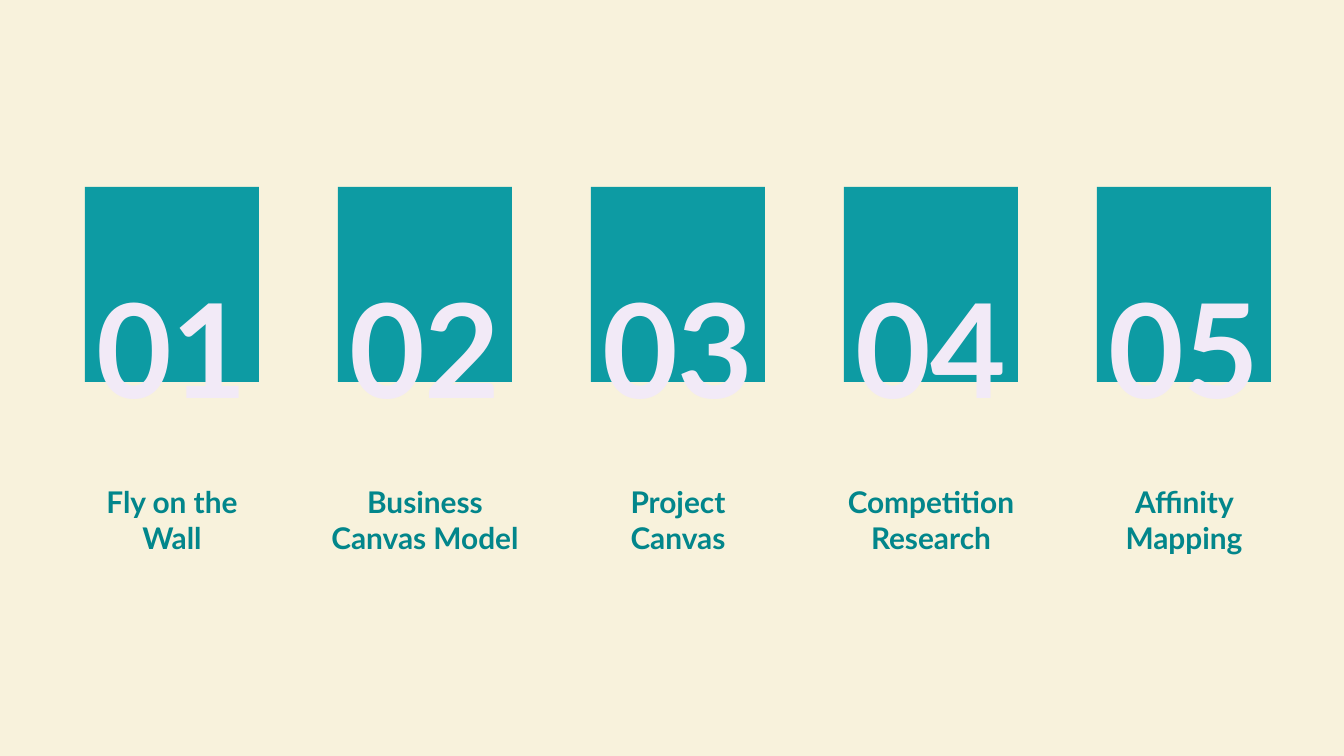
from pptx import Presentation
from pptx.dml.color import RGBColor
from pptx.enum.shapes import MSO_SHAPE
from pptx.enum.text import MSO_ANCHOR, MSO_AUTO_SIZE, PP_ALIGN
from pptx.util import Inches, Pt

SLIDE_WIDTH, SLIDE_HEIGHT = 1344, 756
SCALE = Inches(10) / SLIDE_WIDTH

CREAM = RGBColor(0xF8, 0xF2, 0xDC)
TEAL = RGBColor(0x0D, 0x9B, 0xA3)
DARK_TEAL = RGBColor(0x02, 0x86, 0x8B)
LILAC = RGBColor(0xF2, 0xEA, 0xF7)

RECTANGLE = MSO_SHAPE.RECTANGLE
BOTTOM = MSO_ANCHOR.BOTTOM
NO_AUTOFIT = MSO_AUTO_SIZE.NONE
CENTER = PP_ALIGN.CENTER
TITLE_ONLY = 5

FIRST_CENTER, PITCH = 172, 253
INSET = Inches(0.1)
FRAME_FORMAT = {
    "word_wrap": True,
    "auto_size": NO_AUTOFIT,
    "vertical_anchor": BOTTOM,
    "margin_left": INSET,
    "margin_right": INSET,
    "margin_top": INSET,
    "margin_bottom": INSET,
}

# Label and the width of its box
METHODS = [
    ("Fly on the Wall", 196),
    ("Business Canvas Model", 235),
    ("Project Canvas", 173),
    ("Competition Research", 235),
    ("Affinity Mapping", 235),
]


def px(length):
    return round(length * SCALE)


def centered_box(center, top, width, height):
    """Return left, top, width and height in EMU around a column centre."""
    return px(center - width / 2), px(top), px(width), px(height)


def set_attributes(target, values):
    for name, value in values.items():
        setattr(target, name, value)


def write_text(shape, text, size, color):
    frame = shape.text_frame
    frame.text = text
    set_attributes(frame, FRAME_FORMAT)
    paragraph = frame.paragraphs[0]
    paragraph.alignment = CENTER
    font = paragraph.runs[0].font
    set_attributes(font, {"name": "Lato", "size": Pt(size), "bold": True})
    font.color.rgb = color


def add_label(slide, center, text, width, is_title):
    box = centered_box(center, 351, width, 218)
    if is_title:
        shape = slide.shapes.title
        set_attributes(shape, dict(zip(("left", "top", "width", "height"), box)))
    else:
        shape = slide.shapes.add_textbox(*box)
    write_text(shape, text, 16, DARK_TEAL)


def add_card(slide, center):
    card = slide.shapes.add_shape(RECTANGLE, *centered_box(center, 187, 174, 195))
    card.shadow.inherit = False
    card.fill.solid()
    card.fill.fore_color.rgb = TEAL
    card.line.fill.background()


def add_number(slide, center, number):
    shape = slide.shapes.add_textbox(*centered_box(center, 231, 304, 207))
    write_text(shape, f"{number:02d}", 70, LILAC)


def main():
    presentation = Presentation()
    presentation.slide_width = px(SLIDE_WIDTH)
    presentation.slide_height = px(SLIDE_HEIGHT)
    slide = presentation.slides.add_slide(presentation.slide_layouts[TITLE_ONLY])
    slide.background.fill.solid()
    slide.background.fill.fore_color.rgb = CREAM

    for index, (label, width) in enumerate(METHODS):
        center = FIRST_CENTER + index * PITCH
        add_label(slide, center, label, width, is_title=index == 0)
        add_card(slide, center)
        add_number(slide, center, index + 1)

    presentation.save("out.pptx")


if __name__ == "__main__":
    main()
